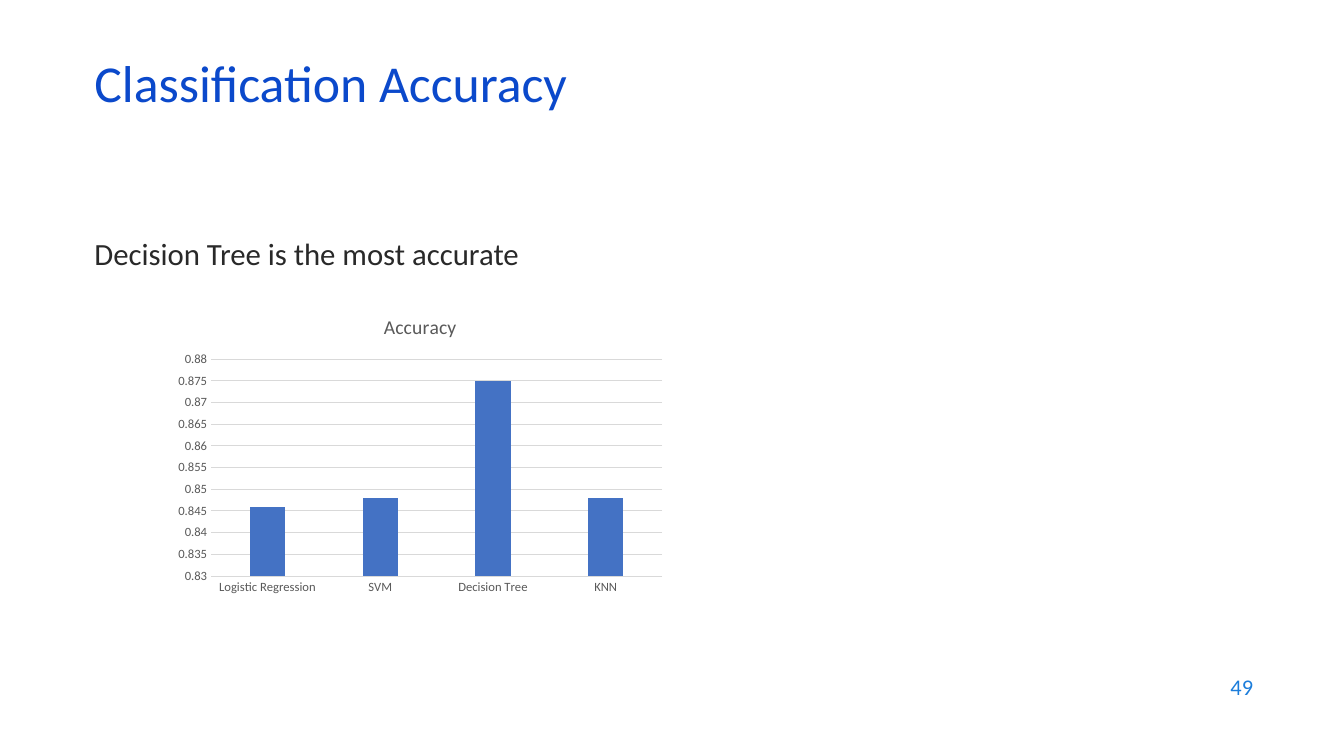
from pptx import Presentation
from pptx.chart.data import CategoryChartData
from pptx.dml.color import RGBColor
from pptx.enum.chart import XL_CHART_TYPE as ChartType, XL_TICK_MARK as TickMark
from pptx.enum.text import MSO_ANCHOR as Anchor, PP_ALIGN as Align
from pptx.util import Cm, Pt

TITLE_BLUE = RGBColor(0x0B, 0x49, 0xCB)
NUMBER_BLUE = RGBColor(0x1C, 0x7D, 0xDB)
BAR_BLUE = RGBColor(0x44, 0x72, 0xC4)
INK = RGBColor(0x29, 0x29, 0x29)
GREY = RGBColor(0x59, 0x59, 0x59)
RULE = RGBColor(0xD9, 0xD9, 0xD9)
FONT = "Calibri"

TEXTS = [
    ("Classification Accuracy", (2.13, 1.5, 29.21, 1.52),
     {"size": Pt(37), "color": TITLE_BLUE},
     {"alignment": Align.LEFT, "line_spacing": 0.7}, Anchor.MIDDLE),
    ("Decision Tree is the most accurate", (2.13, 5.79, 29.21, 10.59),
     {"size": Pt(22), "color": INK},
     {"alignment": Align.LEFT}, Anchor.TOP),
    ("49", (24.21, 16.74, 7.62, 1.12),
     {"size": Pt(16), "color": NUMBER_BLUE},
     {"alignment": Align.RIGHT}, Anchor.MIDDLE),
]
MEASURE = "Accuracy"
ACCURACY = {"Logistic Regression": 0.846, "SVM": 0.848, "Decision Tree": 0.875, "KNN": 0.848}
CHART_AREA = (4.24, 7.52, 12.7, 7.62)
SCALE = {"minimum_scale": 0.83, "maximum_scale": 0.88, "major_unit": 0.005}


def set_all(target, values):
    for name, value in values.items():
        setattr(target, name, value)


def style_font(font, size, color):
    set_all(font, {"name": FONT, "size": size, "bold": False})
    font.color.rgb = color


def style_line(line):
    line.color.rgb = RULE
    line.width = Pt(0.75)


def add_text(page, text, area, look, layout, anchor):
    frame = page.shapes.add_textbox(*map(Cm, area)).text_frame
    set_all(frame, {"word_wrap": True, "vertical_anchor": anchor})
    para = frame.paragraphs[0]
    set_all(para, layout)
    span = para.add_run()
    span.text = text
    style_font(span.font, **look)


def add_accuracy_chart(page):
    data = CategoryChartData(number_format="General")
    data.categories = list(ACCURACY)
    data.add_series(MEASURE, list(ACCURACY.values()))
    chart = page.shapes.add_chart(ChartType.COLUMN_CLUSTERED, *map(Cm, CHART_AREA), data).chart
    style_font(chart.font, Pt(10), GREY)
    set_all(chart, {"has_legend": False, "has_title": True})
    heading = chart.chart_title.text_frame
    heading.text = MEASURE
    style_font(heading.paragraphs[0].runs[0].font, Pt(14), GREY)

    plot = chart.plots[0]
    set_all(plot, {"gap_width": 219, "overlap": -27, "vary_by_categories": False})
    bars = plot.series[0].format.fill
    bars.solid()
    bars.fore_color.rgb = BAR_BLUE

    for axis in (chart.category_axis, chart.value_axis):
        set_all(axis, {"major_tick_mark": TickMark.NONE, "minor_tick_mark": TickMark.NONE})
        style_font(axis.tick_labels.font, Pt(9), GREY)
    style_line(chart.category_axis.format.line)
    set_all(chart.value_axis, SCALE)
    chart.value_axis.format.line.fill.background()
    style_line(chart.value_axis.major_gridlines.format.line)


def main():
    deck = Presentation()
    set_all(deck, {"slide_width": Cm(33.87), "slide_height": Cm(19.05)})
    page = deck.slides.add_slide(deck.slide_layouts[6])
    for entry in TEXTS:
        add_text(page, *entry)
    add_accuracy_chart(page)
    deck.save("out.pptx")


if __name__ == "__main__":
    main()
